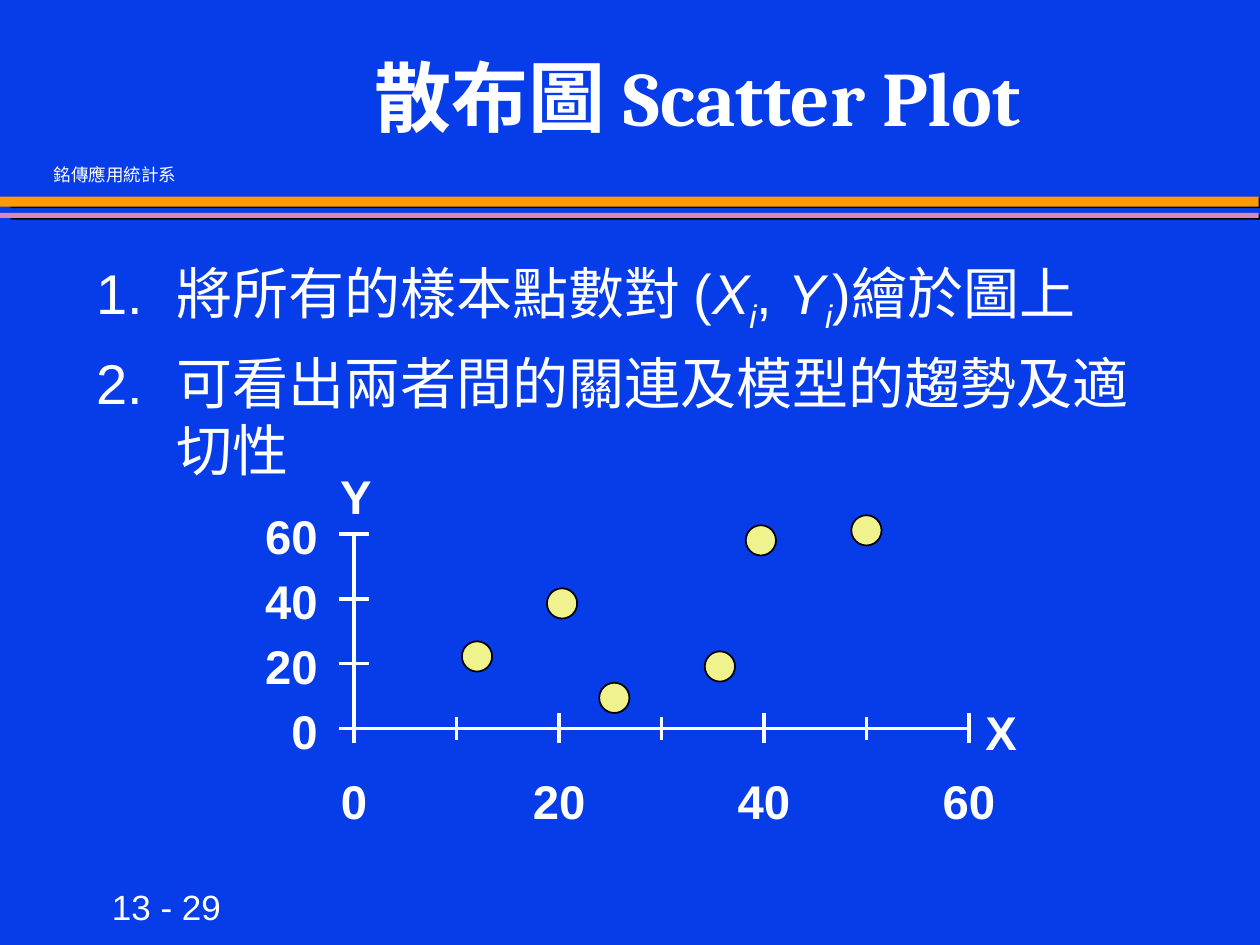
from lxml import etree
from pptx import Presentation
from pptx.dml.color import RGBColor
from pptx.enum.shapes import MSO_CONNECTOR, MSO_SHAPE
from pptx.enum.text import MSO_ANCHOR, PP_ALIGN
from pptx.oxml.ns import qn
from pptx.util import Inches, Pt

LINE = MSO_CONNECTOR.STRAIGHT
RECT, OVAL = MSO_SHAPE.RECTANGLE, MSO_SHAPE.OVAL
MIDDLE = MSO_ANCHOR.MIDDLE
LEFT, CENTER, RIGHT = PP_ALIGN.LEFT, PP_ALIGN.CENTER, PP_ALIGN.RIGHT

COLORS = {"background": "063DE8", "text": "FFFFFF", "orange": "FE9B03",
          "pink": "D989B8", "dot": "F0F28D", "black": "000000"}
AXIS_MAX = 60
POINTS = [(25.4, 9.4), (50, 61.2), (20.3, 38.6),
          (39.7, 58.1), (35.7, 19.1), (12, 22.2)]
ITEMS = [
    [("1.\t將所有的樣本點數對 (", ""), ("X", "italic"), ("i", "sub"), (", ", ""),
     ("Y", "italic"), ("i", "sub"), (")繪於圖上", "")],
    [("2.\t可看出兩者間的關連及模型的趨勢及適切性", "")],
]


def color(name):
    return RGBColor.from_string(COLORS[name])


def add_text(s, box, text, size, bold=False, align=LEFT, font="Arial", wrap=True):
    tf = s.shapes.add_textbox(*map(Inches, box)).text_frame
    tf.word_wrap = wrap
    p = tf.paragraphs[0]
    p.text, p.alignment = text, align
    style(p, size, bold, font)
    return tf


def style(p, size, bold=False, font="Arial"):
    p.font.name, p.font.size, p.font.bold = font, Pt(size), bold
    p.font.color.rgb = color("text")


def add_filled(s, kind, box, fill):
    sp = s.shapes.add_shape(kind, *map(Inches, box))
    sp.shadow.inherit = False
    sp.fill.solid()
    sp.fill.fore_color.rgb = color(fill)
    return sp


def add_line(s, x1, y1, x2, y2):
    line = s.shapes.add_connector(LINE, *map(Inches, (x1, y1, x2, y2)))
    line.line.color.rgb = color("text")
    line.line.width = Pt(2)
    etree.SubElement(line._element.spPr, qn("a:effectLst"))


def add_bar(s, box, fill):
    """A rule with a hard black shadow to its right."""
    bar = add_filled(s, RECT, box, fill)
    bar.line.fill.background()
    effects = bar._element.spPr.find(qn("a:effectLst"))
    shadow = etree.SubElement(effects, qn("a:outerShdw"), blurRad="0",
                              dist=str(Pt(6.1)), dir="540000", algn="ctr",
                              rotWithShape="0")
    etree.SubElement(shadow, qn("a:srgbClr"), val=COLORS["black"])


def add_header(s, left, top, width):
    tf = add_text(s, (left + 1.83, top + 0.17, 7.42, 1.25), "散布圖 Scatter Plot",
                  44, bold=True, align=CENTER, font="Cambria")
    tf.vertical_anchor = MIDDLE
    tf.paragraphs[0].line_spacing = 0.95
    add_text(s, (left + 0.33, top + 1.25, 1.25, 0.43), "銘傳應用統計系", 10)
    add_bar(s, (left, top + 1.56, width, 0.08), "orange")
    add_bar(s, (left, top + 1.69, width, 0.04), "pink")


def add_body(s, box):
    tf = s.shapes.add_textbox(*map(Inches, box)).text_frame
    tf.word_wrap = True
    for i, runs in enumerate(ITEMS):
        p = tf.add_paragraph() if i else tf.paragraphs[0]
        pPr = p._p.get_or_add_pPr()
        pPr.set("marL", str(Inches(0.63)))
        pPr.set("indent", str(-Inches(0.63)))
        p.space_before = Pt(8 if i else 0)
        style(p, 32)
        for text, kind in runs:
            r = p.add_run()
            r.text = text
            if kind:
                r.font.italic = True
            if kind == "sub":
                r._r.get_or_add_rPr().set("baseline", "-25000")


def add_plot(s, left, top, width, height):
    """Draw both axes, their labels and the points; the box spans the axes."""
    right, bottom = left + width, top + height

    def px(x):
        return left + width * x / AXIS_MAX

    def py(y):
        return bottom - height * y / AXIS_MAX

    # Axes and ticks
    add_line(s, left, top, left, bottom)
    add_line(s, left, bottom, right, bottom)
    for value in range(0, AXIS_MAX + 1, 10):
        major = value % 20 == 0
        half = 0.12 if major else 0.09
        add_line(s, px(value), bottom + half, px(value), bottom - half)
        if major:
            add_line(s, left - half, py(value), left + half, py(value))
            # Labels of the major ticks
            w = 0.2 + 0.21 * len(str(value))
            add_text(s, (left - 0.19 - w, py(value) - 0.26, w, 0.55), str(value),
                     27, bold=True, align=RIGHT, wrap=False)
            add_text(s, (px(value) - w / 2, bottom + 0.3, w, 0.55), str(value),
                     27, bold=True, align=CENTER, wrap=False)

    # Axis names
    for name, x, y in (("X", right + 0.03, bottom - 0.25),
                       ("Y", left - 0.21, top - 0.58)):
        add_text(s, (x, y, 0.45, 0.55), name, 27, bold=True, align=CENTER, wrap=False)

    # Points
    size = 0.24
    for x, y in POINTS:
        dot = add_filled(s, OVAL, (px(x) - size / 2, py(y) - size / 2, size, size), "dot")
        dot.line.color.rgb = color("black")
        dot.line.width = Pt(1)


def main():
    prs = Presentation()
    prs.slide_width, prs.slide_height = Inches(10), Inches(7.5)
    s = prs.slides.add_slide(prs.slide_layouts[6])
    s.background.fill.solid()
    s.background.fill.fore_color.rgb = color("background")
    add_header(s, 0, 0, 9.99)
    add_body(s, (0.67, 2, 8.58, 4.5))
    add_plot(s, 2.81, 4.24, 4.88, 1.54)
    add_text(s, (0.79, 6.98, 2.02, 0.43), "13 - 29", 20)
    prs.save("out.pptx")


if __name__ == "__main__":
    main()
